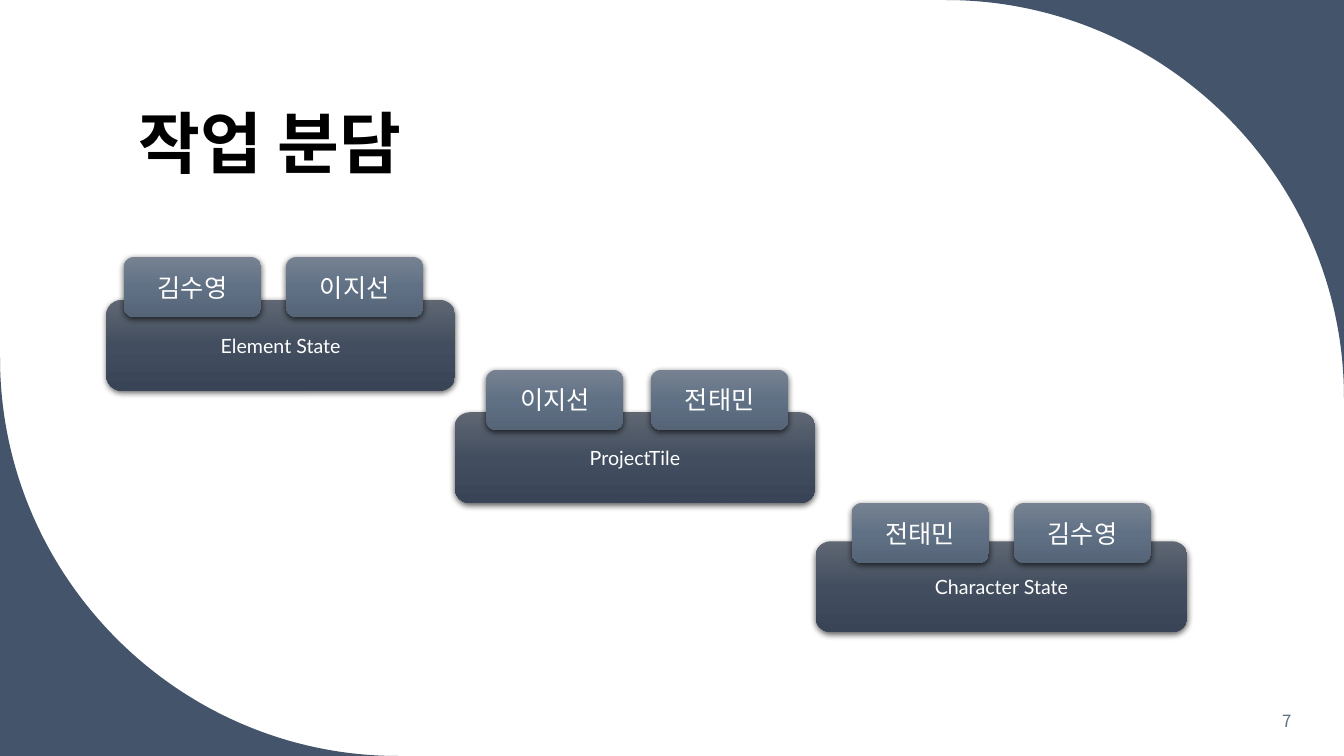
"""Build the work-sharing slide: three stepped task panels with name tags."""
from lxml import etree
from pptx import Presentation, util as u
from pptx.dml.color import RGBColor
from pptx.enum import shapes, text
from pptx.oxml import ns

CELL = u.Inches(0.1)
COLUMNS, ROWS, RADIUS = 133.33, 75, 39.5
BEND = 0.55
NAVY = RGBColor(0x44, 0x54, 0x6A)
BLACK = RGBColor(0, 0, 0)
WHITE = RGBColor(0xFF, 0xFF, 0xFF)
GREY = RGBColor(0x63, 0x71, 0x83)
PANEL_STOPS = [RGBColor(0x60, 0x67, 0x73), RGBColor(0x42, 0x4E, 0x5F), RGBColor(0x39, 0x45, 0x56)]
TAG_STOPS = [RGBColor(0x76, 0x82, 0x91), RGBColor(0x61, 0x71, 0x85), RGBColor(0x55, 0x64, 0x77)]
KOREAN = "Noto Sans CJK KR"
PANEL_HEIGHT, TAG_WIDTH, TAG_HEIGHT = 9, 13.6, 5.95


def write(box, words, align, anchor, **font):
    """Put one formatted line of text in a box."""
    frame = box.text_frame
    frame.word_wrap = True
    frame.vertical_anchor = anchor
    para = frame.paragraphs[0]
    para.alignment = align
    span = para.add_run()
    span.text = words
    span.font.color.rgb = font.pop("color")
    for name, value in font.items():
        setattr(span.font, name, value)
    span.font._element.set("kern", "1200")
    etree.SubElement(span.font._element, ns.qn("a:ea"), typeface=KOREAN)
    return para


def add_card(page, place, words, size, stops):
    """Add a rounded card with a vertical gradient and a soft shadow."""
    card = page.shapes.add_shape(
        shapes.MSO_SHAPE.ROUNDED_RECTANGLE, *[round(length * CELL) for length in place])
    card.line.fill.background()
    card.fill.gradient()
    card.fill.gradient_angle = 270
    stop_list = card._element.spPr.find(".//" + ns.qn("a:gsLst"))
    for old_stop in list(stop_list):
        stop_list.remove(old_stop)
    for index, color in enumerate(stops):
        stop = etree.SubElement(stop_list, ns.qn("a:gs"), pos=str(index * 50000))
        etree.SubElement(stop, ns.qn("a:srgbClr"), val=str(color))
    card.shadow.inherit = False
    effects = card._element.spPr.find(ns.qn("a:effectLst"))
    shadow = etree.SubElement(
        effects, ns.qn("a:outerShdw"), blurRad=str(u.Pt(4.5)), dist=str(u.Pt(1.5)),
        dir="5400000", algn="ctr", rotWithShape="0")
    shade = etree.SubElement(shadow, ns.qn("a:srgbClr"), val=str(BLACK))
    etree.SubElement(shade, ns.qn("a:alpha"), val="63000")
    write(card, words, text.PP_ALIGN.CENTER, text.MSO_ANCHOR.MIDDLE,
          size=u.Pt(size), name="Lato", color=WHITE)


deck = Presentation()
deck.slide_width, deck.slide_height = round(COLUMNS * CELL), ROWS * CELL
page = deck.slides.add_slide(deck.slide_layouts[6])

reach = round(RADIUS * CELL)
handle = round(RADIUS * BEND * CELL)
corners = [
    (deck.slide_width, 0, -1, 1),
    (0, deck.slide_height, 1, -1),
]
for corner_x, corner_y, way_x, way_y in corners:
    start = (corner_x + way_x * reach, corner_y)
    end = (corner_x, corner_y + way_y * reach)
    builder = page.shapes.build_freeform(corner_x, corner_y)
    builder.add_line_segments([start, end], close=True)
    corner = builder.convert_to_shape()
    corner.shadow.inherit = False
    corner.fill.solid()
    corner.fill.fore_color.rgb = NAVY
    corner.line.fill.background()
    straight = corner._element.spPr.findall(".//" + ns.qn("a:lnTo"))[1]
    curve = etree.Element(ns.qn("a:cubicBezTo"))
    bends = [(start[0] - way_x * handle, start[1]), (end[0], end[1] - way_y * handle), end]
    for x, y in bends:
        etree.SubElement(curve, ns.qn("a:pt"), x=str(x - corner.left), y=str(y - corner.top))
    straight.getparent().replace(straight, curve)

labels = [
    ((12.8, 4.15, 106.9, 14.5), "작업 분담", text.PP_ALIGN.LEFT, text.MSO_ANCHOR.BOTTOM, 0.9,
     {"size": u.Pt(48), "bold": True, "color": BLACK}),
    ((111, 69.5, 18.1, 4), "7", text.PP_ALIGN.RIGHT, text.MSO_ANCHOR.MIDDLE, 1.0,
     {"size": u.Pt(12), "color": GREY}),
]
for place, words, align, anchor, spacing, font in labels:
    box = page.shapes.add_textbox(*[round(length * CELL) for length in place])
    para = write(box, words, align, anchor, name=KOREAN, **font)
    para.line_spacing = spacing

tasks = [
    ("Element State", 10.55, 29.75, 34.6, 25.5, [("김수영", 12.3), ("이지선", 28.4)]),
    ("ProjectTile", 45.1, 40.9, 35.8, 36.7, [("이지선", 48.25), ("전태민", 64.6)]),
    ("Character State", 80.9, 53.7, 36.9, 49.9, [("전태민", 84.5), ("김수영", 100.6)]),
]
for task, column, row, width, tag_row, members in tasks:
    add_card(page, (column, row, width, PANEL_HEIGHT), task, 14, PANEL_STOPS)
    for member, tag_column in members:
        add_card(page, (tag_column, tag_row, TAG_WIDTH, TAG_HEIGHT), member, 18, TAG_STOPS)

deck.save("out.pptx")
